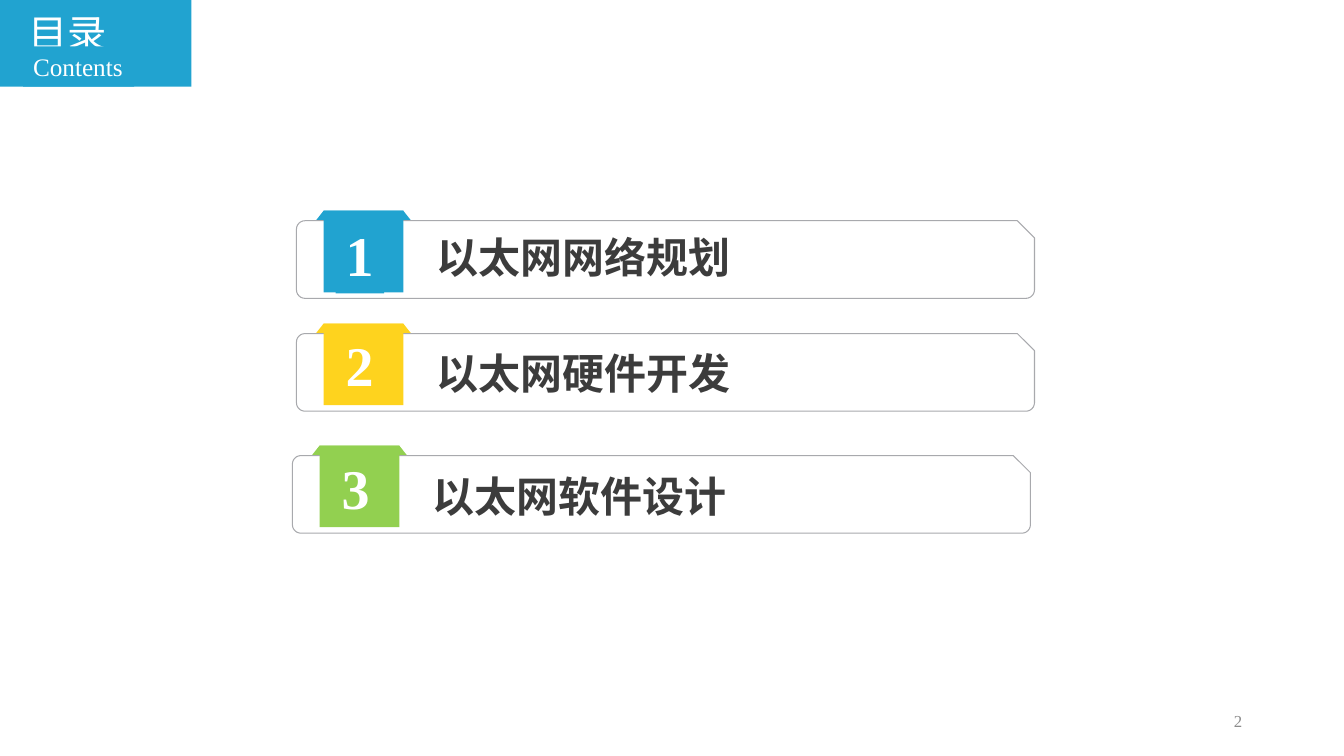
import math

from pptx import Presentation
from pptx import util as u
from pptx.dml.color import RGBColor
from pptx.enum import shapes, text

COLORS = {
    "blue": "21A3D0", "yellow": "FED31E", "green": "92D050", "white": "FFFFFF",
    "outline": "A8A9AD", "heading": "3C3C3C", "page": "8C8C8C",
}
FONT = "Times New Roman"
CARD_WIDTH, CARD_HEIGHT = 7.32, 0.77
TAB_WIDTH, TAB_HEIGHT = 0.79, 0.81
CORNER, CUT = 0.085, 0.17

# Label, colour, left and top of the row, then drop of its number and label
ROWS = [
    ("以太网网络规划", "blue", 2.94, 2.09, 0.05, 0.16),
    ("以太网硬件开发", "yellow", 2.94, 3.21, 0.02, 0.19),
    ("以太网软件设计", "green", 2.9, 4.42, 0.03, 0.2),
]


def rgb(name):
    return RGBColor.from_string(COLORS[name])


def paint(shape, fill, line=None):
    shape.shadow.inherit = False
    shape.fill.solid()
    shape.fill.fore_color.rgb = rgb(fill)
    if line:
        shape.line.color.rgb = rgb(line)
        shape.line.width = u.Pt(0)
    else:
        shape.line.fill.background()


def add_rectangle(slide, box, fill):
    shape = slide.shapes.add_shape(shapes.MSO_SHAPE.RECTANGLE, *map(u.Inches, box))
    paint(shape, fill)


def add_outline(slide, points, fill, line=None):
    start, *others = [(u.Inches(x), u.Inches(y)) for x, y in points]
    builder = slide.shapes.build_freeform(*start)
    builder.add_line_segments(others, close=True)
    paint(builder.convert_to_shape(), fill, line)


def add_text(slide, words, box, size, color, fill=None, bold=False, wrap=False,
             align=text.PP_ALIGN.LEFT, anchor=text.MSO_ANCHOR.TOP):
    shape = slide.shapes.add_textbox(*map(u.Inches, box))
    if fill:
        paint(shape, fill)
    frame = shape.text_frame
    frame.word_wrap = wrap
    frame.auto_size = text.MSO_AUTO_SIZE.NONE if wrap else text.MSO_AUTO_SIZE.SHAPE_TO_FIT_TEXT
    frame.vertical_anchor = anchor
    paragraph = frame.paragraphs[0]
    paragraph.alignment = align
    run = paragraph.add_run()
    run.text = words
    run.font.name, run.font.size, run.font.bold = FONT, u.Pt(size), bold
    run.font.color.rgb = rgb(color)


def rounded_corner(center_x, center_y, start_degrees, steps=6):
    """Points of a clockwise quarter circle around the given centre."""
    angles = [math.radians(start_degrees + 90 * step / steps) for step in range(steps + 1)]
    return [(center_x + CORNER * math.cos(a), center_y + CORNER * math.sin(a)) for a in angles]


def add_card(slide, left, top):
    """Frame with three rounded corners and a cut one at the top right."""
    right, bottom = left + CARD_WIDTH, top + CARD_HEIGHT
    points = [(right - CUT, top), (right, top + CUT)]
    points += rounded_corner(right - CORNER, bottom - CORNER, 0)
    points += rounded_corner(left + CORNER, bottom - CORNER, 90)
    points += rounded_corner(left + CORNER, top + CORNER, 180)
    add_outline(slide, points, "white", "outline")


def add_row(slide, number, label, color, left, top, number_drop, label_drop):
    tab_left = left + 0.27
    tab_right, fold = tab_left + TAB_WIDTH, 0.095
    add_outline(slide, [(tab_left, top), (tab_right, top),
                        (tab_right + fold, top + 0.12), (tab_left - fold, top + 0.12)], color)
    add_card(slide, left, top + 0.1)
    add_rectangle(slide, (tab_left, top, TAB_WIDTH, TAB_HEIGHT), color)
    add_text(slide, label, (left + 1.29, top + label_drop, 3.15, 0.61), 30, "heading", bold=True)
    add_text(slide, str(number), (left + 0.39, top + number_drop, 0.48, 0.77), 40, "white",
             fill=color, bold=True)


def add_title(slide, left, top, width, height):
    add_rectangle(slide, (left, top, width, height), "blue")
    add_text(slide, "目录", (left + 0.18, top + 0.04, 0.99, 0.57), 28, "white", fill="blue")
    add_text(slide, "Contents", (left + 0.23, top + 0.46, 1.1, 0.4), 18, "white", fill="blue")


def main():
    presentation = Presentation()
    presentation.slide_width, presentation.slide_height = u.Inches(13.33), u.Inches(7.5)
    slide = presentation.slides.add_slide(presentation.slide_layouts[6])
    add_text(slide, "2", (9.42, 6.95, 3, 0.4), 12, "page", wrap=True,
             align=text.PP_ALIGN.RIGHT, anchor=text.MSO_ANCHOR.MIDDLE)
    for number, row in enumerate(ROWS, start=1):
        add_row(slide, number, *row)
    add_title(slide, 0, 0, 1.9, 0.86)
    presentation.save("out.pptx")


if __name__ == "__main__":
    main()
